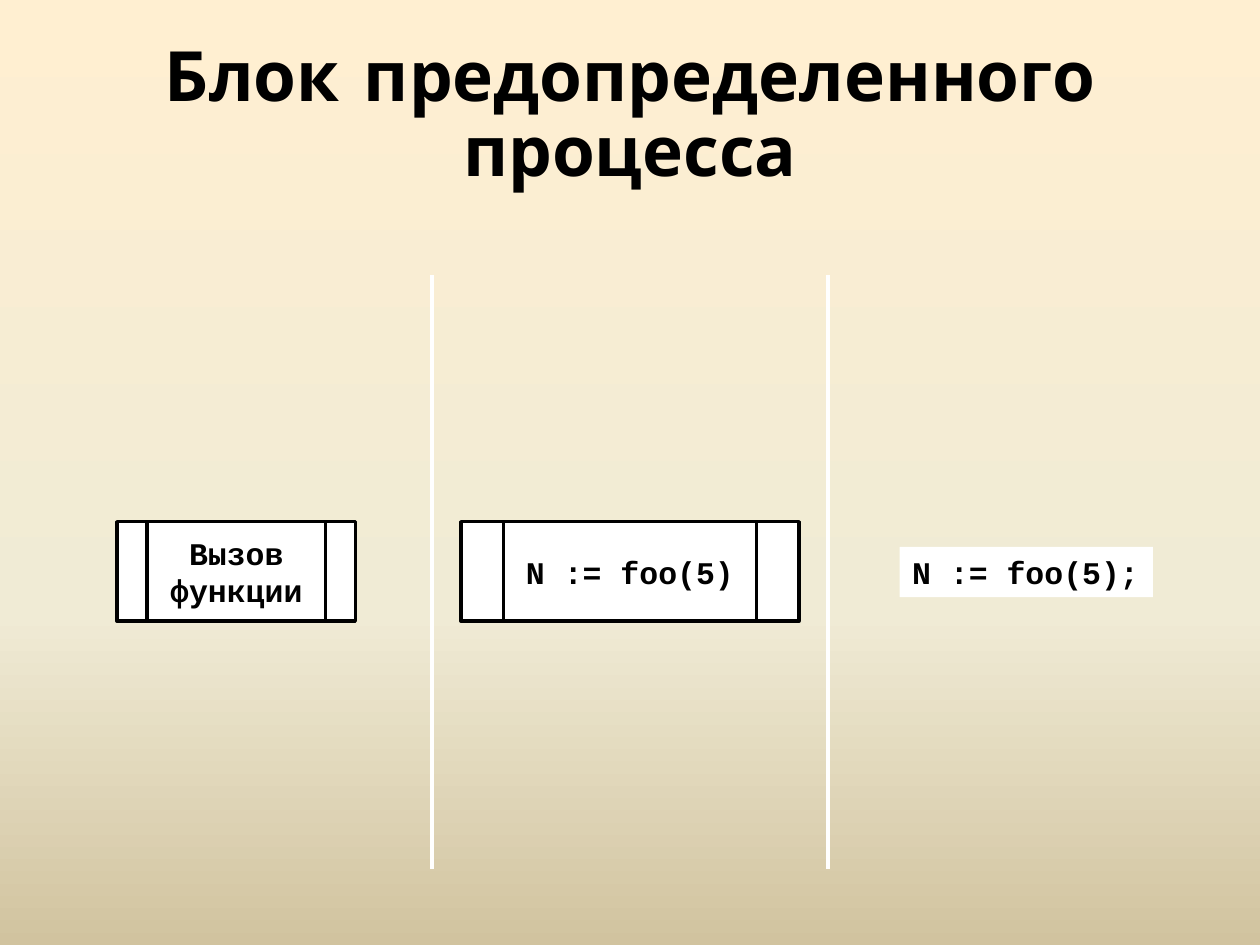
from copy import deepcopy
from pptx import Presentation
from pptx.dml.color import RGBColor
from pptx.enum.shapes import MSO_CONNECTOR as Connector, MSO_SHAPE as Shape
from pptx.enum.text import MSO_ANCHOR as Anchor, PP_ALIGN as Align
from pptx.oxml.ns import qn
from pptx.util import Inches, Pt
from lxml.etree import SubElement

TITLE_FONT, CODE_FONT = "Comic Neue", "Courier New"
BLACK, WHITE = "000000", "FFFFFF"


def color(target, value):
    target.rgb = RGBColor.from_string(value)


def paint_background(slide, stops):
    fill = slide.background.fill
    fill.gradient()
    fill.gradient_angle = 270
    stop_list = slide.element.find(".//" + qn("a:gsLst"))
    stop_list.append(deepcopy(stop_list[-1]))
    for stop, (position, value) in zip(fill.gradient_stops, stops):
        stop.position = position
        color(stop.color, value)


def write(frame, text, size, font, align):
    paragraph = frame.paragraphs[0]
    paragraph.alignment = align
    run = paragraph.add_run()
    run.text = text
    run.font.size = Pt(size)
    run.font.name = font
    run.font.bold = True
    color(run.font.color, BLACK)
    return paragraph


def add_title(slide, box, text):
    frame = slide.shapes.add_textbox(*map(Inches, box)).text_frame
    frame.word_wrap = True
    frame.vertical_anchor = Anchor.MIDDLE
    write(frame, text, 39.6, TITLE_FONT, Align.CENTER).line_spacing = 0.9


def add_divider(slide, x, top, bottom):
    divider = slide.shapes.add_connector(
        Connector.STRAIGHT, *map(Inches, (x, top, x, bottom)))
    divider.line.width = Pt(2)
    color(divider.line.color, WHITE)
    SubElement(divider._element.spPr, qn("a:effectLst"))


def add_white_shape(slide, kind, box):
    shape = slide.shapes.add_shape(kind, *map(Inches, box))
    shape.shadow.inherit = False
    shape.fill.solid()
    color(shape.fill.fore_color, WHITE)
    return shape


def add_process(slide, box, text):
    process = add_white_shape(slide, Shape.FLOWCHART_PREDEFINED_PROCESS, box)
    process.line.width = Pt(2)
    color(process.line.color, BLACK)
    process.text_frame.word_wrap = True
    process.text_frame.vertical_anchor = Anchor.MIDDLE
    write(process.text_frame, text, 18, CODE_FONT, Align.CENTER)


def add_code(slide, box, text):
    code = add_white_shape(slide, Shape.RECTANGLE, box)
    code.line.fill.background()
    code.text_frame.word_wrap = False
    code.text_frame.vertical_anchor = Anchor.TOP
    write(code.text_frame, text, 18, CODE_FONT, Align.LEFT)


deck = Presentation()
deck.slide_width, deck.slide_height = Inches(10), Inches(7.5)
slide = deck.slides.add_slide(deck.slide_layouts[6])

paint_background(slide, [(0, "FFEFD1"), (0.65, "F0EBD5"), (1, "D1C39F")])
add_title(slide, (0.5, 0.3, 9, 1.25), "Блок предопределенного процесса")
for divider_x in (3.43, 6.57):
    add_divider(slide, divider_x, 2.18, 6.9)
add_code(slide, (7.14, 4.34, 2.01, 0.4), "N := foo(5);")
for left, width, label in ((0.93, 1.89, "Вызов функции"), (3.66, 2.68, "N := foo(5)")):
    add_process(slide, (left, 4.14, width, 0.79), label)

deck.save("out.pptx")
